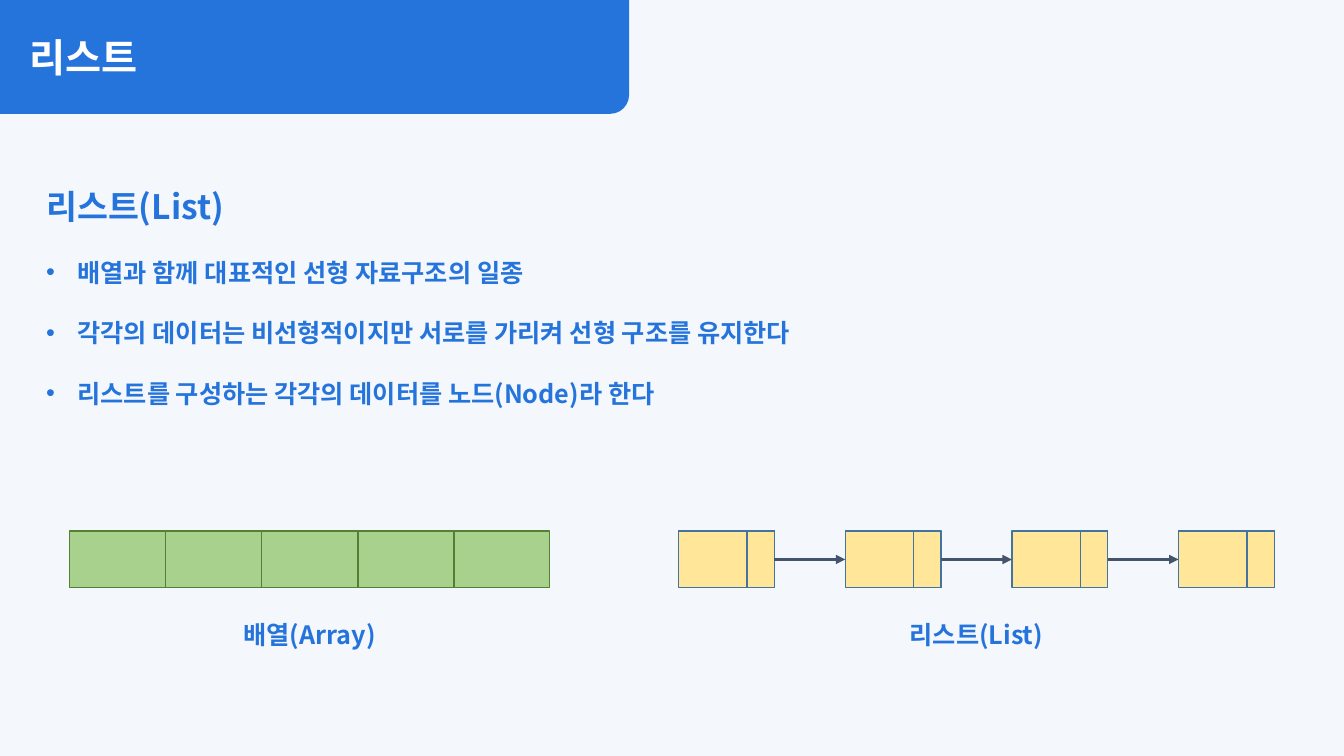
from lxml.etree import SubElement
from pptx import Presentation
from pptx.dml.color import RGBColor
from pptx.enum.shapes import MSO_CONNECTOR, MSO_SHAPE
from pptx.enum.text import MSO_AUTO_SIZE, PP_ALIGN
from pptx.oxml.ns import qn
from pptx.util import Inches, Pt

TITLE = "리스트"
HEADING = "리스트(List)"
POINTS = [
    "배열과 함께 대표적인 선형 자료구조의 일종",
    "각각의 데이터는 비선형적이지만 서로를 가리켜 선형 구조를 유지한다",
    "리스트를 구성하는 각각의 데이터를 노드(Node)라 한다",
]
ARRAY = {"label": "배열(Array)", "label_width": 1.54, "left": 0.69, "count": 5, "pitch": 0.953}
LINKED = {"label": "리스트(List)", "label_width": 2.07, "left": 6.73, "count": 4, "pitch": 1.653}

THEME = {
    "font": "Noto Sans CJK KR",
    "page": "F4F7FC", "blue": "2574DB", "white": "FFFFFF",
    "array": ("A9D18E", "538035"), "node": ("FFE699", "43739E"), "arrow": "44546A",
    "title": 28, "heading": 24, "body": 18, "outline": 1, "arrow_width": 2.25,
}
CELL_TOP, CELL_WIDTH, CELL_HEIGHT = 5.27, 0.95, 0.56
POINTER_WIDTH = 0.27
LABEL_TOP, LABEL_HEIGHT = 6.09, 0.4
BULLET_INDENT = 0.31


def color(name):
    return RGBColor.from_string(THEME.get(name, name))


def add_block(page, kind, left, top, width, height, fill, outline=None):
    block = page.shapes.add_shape(kind, *map(Inches, (left, top, width, height)))
    block.shadow.inherit = False
    block.fill.solid()
    block.fill.fore_color.rgb = color(fill)
    if outline:
        block.line.color.rgb = color(outline)
        block.line.width = Pt(THEME["outline"])
    else:
        block.line.fill.background()
    return block


def add_cell(page, left, width, style):
    fill, outline = THEME[style]
    return add_block(page, MSO_SHAPE.RECTANGLE, left, CELL_TOP, width, CELL_HEIGHT, fill, outline)


def add_text_frame(page, left, top, width, height):
    box = page.shapes.add_textbox(*map(Inches, (left, top, width, height)))
    box.text_frame.word_wrap = True
    box.text_frame.auto_size = MSO_AUTO_SIZE.SHAPE_TO_FIT_TEXT
    return box.text_frame


def write(para, text, size, ink="blue", **layout):
    for name, value in layout.items():
        setattr(para, name, value)
    span = para.add_run()
    span.text = text
    values = {"name": THEME["font"], "size": Pt(THEME[size]), "bold": True}
    for name, value in values.items():
        setattr(span.font, name, value)
    span.font.color.rgb = color(ink)
    SubElement(span.font._element, qn("a:ea"), typeface=THEME["font"])


def add_bullet(para):
    properties = para._p.get_or_add_pPr()
    properties.set("marL", str(Inches(BULLET_INDENT)))
    properties.set("indent", str(-Inches(BULLET_INDENT)))
    SubElement(properties, qn("a:buFont"), typeface="Arial")
    SubElement(properties, qn("a:buChar"), char="•")


def add_arrow(page, start, end):
    arrow = page.shapes.add_connector(MSO_CONNECTOR.STRAIGHT, 0, 0, 0, 0)
    arrow.begin_connect(start, 3)
    arrow.end_connect(end, 1)
    arrow.line.color.rgb = color("arrow")
    arrow.line.width = Pt(THEME["arrow_width"])
    SubElement(arrow.line._get_or_add_ln(), qn("a:tailEnd"), type="triangle")
    SubElement(arrow._element.spPr, qn("a:effectLst"))


def cell_lefts(figure):
    return [figure["left"] + index * figure["pitch"] for index in range(figure["count"])]


def add_label(page, figure):
    """Centre the label below the whole row of cells."""
    center = (figure["left"] + cell_lefts(figure)[-1] + CELL_WIDTH) / 2
    width = figure["label_width"]
    frame = add_text_frame(page, center - width / 2, LABEL_TOP, width, LABEL_HEIGHT)
    write(frame.paragraphs[0], figure["label"], "body", alignment=PP_ALIGN.CENTER)


def add_title(page):
    banner = add_block(page, MSO_SHAPE.ROUND_1_RECTANGLE, 0, 0, 6.24, 1.13, "blue")
    banner._element.spPr.find(qn("a:xfrm")).set("flipV", "1")
    frame = add_text_frame(page, 0.19, 0.28, 5.85, 0.57)
    write(frame.paragraphs[0], TITLE, "title", "white")


def add_body(page):
    frame = add_text_frame(page, 0.36, 1.4, 12.61, 3.24)
    write(frame.paragraphs[0], HEADING, "heading", line_spacing=2.0)
    for point in POINTS:
        para = frame.add_paragraph()
        write(para, point, "body", line_spacing=2.0)
        add_bullet(para)


def add_array(page):
    for left in cell_lefts(ARRAY):
        add_cell(page, left, CELL_WIDTH, "array")
    add_label(page, ARRAY)


def add_linked_list(page):
    lefts = cell_lefts(LINKED)
    nodes = [add_cell(page, left, CELL_WIDTH, "node") for left in lefts]
    pointers = [add_cell(page, left + CELL_WIDTH - POINTER_WIDTH, POINTER_WIDTH, "node")
                for left in lefts]
    for pointer, following in zip(pointers, nodes[1:]):
        add_arrow(page, pointer, following)
    add_label(page, LINKED)


def main():
    deck = Presentation()
    deck.slide_width, deck.slide_height = Inches(13.33), Inches(7.5)
    page = deck.slides.add_slide(deck.slide_layouts[6])
    page.background.fill.solid()
    page.background.fill.fore_color.rgb = color("page")
    add_title(page)
    add_body(page)
    add_array(page)
    add_linked_list(page)
    deck.save("out.pptx")


if __name__ == "__main__":
    main()
